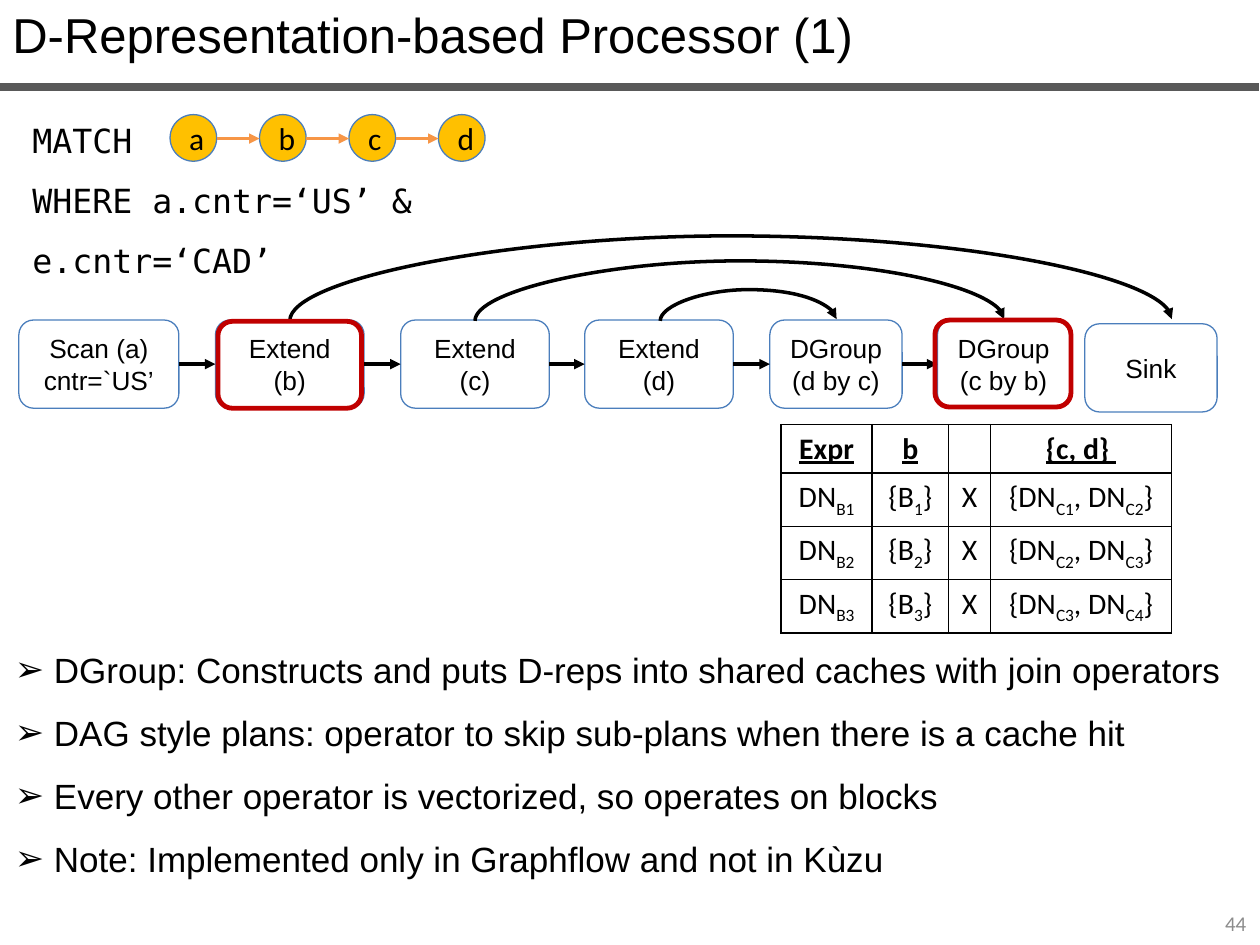
from lxml import etree
from pptx import Presentation
from pptx.dml.color import RGBColor
from pptx.enum.shapes import MSO_CONNECTOR, MSO_SHAPE
from pptx.enum.text import MSO_ANCHOR, PP_ALIGN
from pptx.oxml.ns import qn
from pptx.util import Inches, Pt

LEFT, CENTER, RIGHT = PP_ALIGN.LEFT, PP_ALIGN.CENTER, PP_ALIGN.RIGHT
TOP, MIDDLE = MSO_ANCHOR.TOP, MSO_ANCHOR.MIDDLE
STRAIGHT, CURVE = MSO_CONNECTOR.STRAIGHT, MSO_CONNECTOR.CURVE
ELLIPSE, ROUNDED = MSO_SHAPE.OVAL, MSO_SHAPE.ROUNDED_RECTANGLE


def color(code):
    return RGBColor.from_string(code)


def write_text(frame, lines, size=15, font="Arial", ink="000000", align=LEFT,
               spacing=None, bullet=None, bold=False, underline=False):
    """Write one paragraph per line; a bar switches subscript on and off."""
    for index, line in enumerate(lines):
        para = frame.paragraphs[0] if index == 0 else frame.add_paragraph()
        para.alignment = align
        if spacing:
            para.line_spacing = spacing
        if bullet:
            properties = para._p.get_or_add_pPr()
            properties.set("marL", str(Inches(0.31)))
            properties.set("indent", str(-Inches(0.31)))
            etree.SubElement(properties, qn("a:buFont"), typeface=font)
            etree.SubElement(properties, qn("a:buChar"), char=bullet)
        if not line:
            etree.SubElement(para._p, qn("a:endParaRPr"), sz=str(size * 100))
            continue
        for position, part in enumerate(line.split("|")):
            if not part:
                continue
            span = para.add_run()
            span.text = part
            span.font.size = Pt(size)
            span.font.name = font
            span.font.bold = bold
            span.font.underline = underline
            span.font.color.rgb = color(ink)
            if position % 2:
                span.font._element.set("baseline", "-25000")


class Slide:
    black, blue, red = "000000", "4B7EBC", "C00000"
    amber, orange, gray = "FFC000", "F79646", "595959"

    def __init__(self, deck):
        self.page = deck.slides.add_slide(deck.slide_layouts[6])
        self.shapes = self.page.shapes

    def text(self, left, top, width, height, lines, anchor=TOP, **style):
        box = self.shapes.add_textbox(
            Inches(left), Inches(top), Inches(width), Inches(height))
        box.text_frame.word_wrap = True
        box.text_frame.vertical_anchor = anchor
        write_text(box.text_frame, lines, **style)

    def shape(self, kind, left, top, width, height, lines=(), fill=None,
              line=blue, weight=0.75, **style):
        shape = self.shapes.add_shape(
            kind, Inches(left), Inches(top), Inches(width), Inches(height))
        shape.shadow.inherit = False
        if fill:
            shape.fill.solid()
            shape.fill.fore_color.rgb = color(fill)
        else:
            shape.fill.background()
        shape.line.color.rgb = color(line)
        shape.line.width = Pt(weight)
        shape.text_frame.word_wrap = True
        shape.text_frame.vertical_anchor = MIDDLE
        write_text(shape.text_frame, lines, align=CENTER, **style)

    def line(self, x1, y1, x2, y2, ink=black, weight=2, arrow=True, kind=STRAIGHT):
        line = self.shapes.add_connector(
            kind, Inches(x1), Inches(y1), Inches(x2), Inches(y2))
        line.line.color.rgb = color(ink)
        line.line.width = Pt(weight)
        if arrow:
            etree.SubElement(line.line._get_or_add_ln(), qn("a:tailEnd"), type="triangle")
        etree.SubElement(line._element.spPr, qn("a:effectLst"))
        return line

    def arch(self, start, end, base, rise):
        """Curved arrow over the boxes: a thin, tall connector turned by 90 degrees."""
        middle, half, thin = (start + end) / 2, (end - start) / 2, 1 / 72
        arch = self.line(middle + thin / 2, base + half,
                         middle - thin / 2, base - half, kind=CURVE)
        properties = arch._element.spPr
        properties.find(qn("a:xfrm")).set("rot", str(90 * 60000))
        guides = properties.find(qn("a:prstGeom")).find(qn("a:avLst"))
        etree.SubElement(guides, qn("a:gd"), name="adj1",
                         fmla=f"val {round(rise / thin * 100000)}")

    def table(self, left, top, widths, heights, rows):
        frame = self.shapes.add_table(
            len(rows), len(widths), Inches(left), Inches(top),
            Inches(sum(widths)), Inches(sum(heights)))
        table = frame.table
        table.first_row = table.horz_banding = False
        for column, width in zip(table.columns, widths):
            column.width = Inches(width)
        for index, (row, height) in enumerate(zip(rows, heights)):
            table.rows[index].height = Inches(height)
            for cell, value in zip(table.rows[index].cells, row):
                header = index == 0
                write_text(cell.text_frame, [value], size=17, font="Calibri",
                           align=CENTER, bold=header, underline=header)
                self.border(cell)
                cell.fill.background()

    def border(self, cell):
        properties = cell._tc.get_or_add_tcPr()
        for side in ("lnL", "lnR", "lnT", "lnB"):
            edge = etree.SubElement(properties, qn(f"a:{side}"), w=str(Pt(1)))
            fill = etree.SubElement(edge, qn("a:solidFill"))
            etree.SubElement(fill, qn("a:srgbClr"), val=self.black)


def main():
    deck = Presentation()
    deck.slide_width, deck.slide_height = Inches(10), Inches(7.5)
    slide = Slide(deck)

    # Title, rule and page number
    slide.line(-0.01, 0.69, 9.99, 0.69, ink=slide.gray, weight=4.5, arrow=False)
    slide.text(7.66, 7.13, 2.33, 0.4, ["44"], anchor=MIDDLE, size=12,
               font="Calibri", ink="8C8C8C", align=RIGHT)
    slide.text(0, -0.01, 9.85, 0.57, ["D-Representation-based Processor (1)"], size=28)

    # Query with its path of nodes
    slide.text(0.16, 0.75, 4.93, 1.01, ["MATCH", "WHERE a.cntr=‘US’ & e.cntr=‘CAD’"],
               size=19, font="DejaVu Sans Mono", spacing=1.5)
    first, step, size = 1.35, 0.71, 0.37
    for index, name in enumerate("abcd"):
        left = first + index * step
        slide.shape(ELLIPSE, left, 0.91, size, size, [name], fill=slide.amber,
                    size=18, font="Calibri")
        if index:
            slide.line(left - step + size, 1.1, left, 1.1, ink=slide.orange, weight=1.5)

    # Operator pipeline
    operators = [
        (0.15, 1.27, ["Scan (a)", "cntr=`US’"]),
        (1.71, 1.18, ["Extend (b)"]),
        (3.18, 1.18, ["Extend (c)"]),
        (4.64, 1.18, ["Extend (d)"]),
        (6.11, 1.05, ["DGroup (d by c)"]),
        (7.44, 1.05, ["DGroup (c by b)"]),
    ]
    previous_end = None
    for left, width, lines in operators:
        slide.shape(ROUNDED, left, 2.54, width, 0.7, lines)
        if previous_end:
            slide.line(previous_end, 2.89, left, 2.89)
        previous_end = left + width
    slide.shape(ROUNDED, 8.61, 2.57, 1.05, 0.7, ["Sink"])

    # Skips over sub-plans
    for start, end, rise in [(5.24, 6.64, 0.25), (3.77, 7.97, 0.48), (2.3, 9.3, 0.68)]:
        slide.arch(start, end, 2.54, rise)

    # Highlighted operators
    slide.shape(ROUNDED, 1.73, 2.55, 1.14, 0.69, line=slide.red, weight=2.75)
    slide.shape(ROUNDED, 7.42, 2.54, 1.08, 0.69, line=slide.red, weight=2.75)

    # Remarks
    slide.text(0.02, 4.93, 9.97, 2.06, [
        "DGroup: Constructs and puts D-reps into shared caches with join operators",
        "DAG style plans: operator to skip sub-plans when there is a cache hit",
        "Every other operator is vectorized, so operates on blocks",
        "Note: Implemented only in Graphflow and not in Kùzu",
    ], size=20, spacing=1.5, bullet="➢")

    # Table of D-representations
    rows = [["Expr", "b", "", "{c, d} "]]
    for number in range(1, 4):
        rows.append([f"DN|B{number}", f"{{B|{number}|}}", "X",
                     f"{{DN|C{number}|, DN|C{number + 1}|}}"])
    slide.table(6.2, 3.37, [0.72, 0.61, 0.33, 1.44], [0.38] + [0.42] * 3, rows)

    deck.save("out.pptx")


if __name__ == "__main__":
    main()
